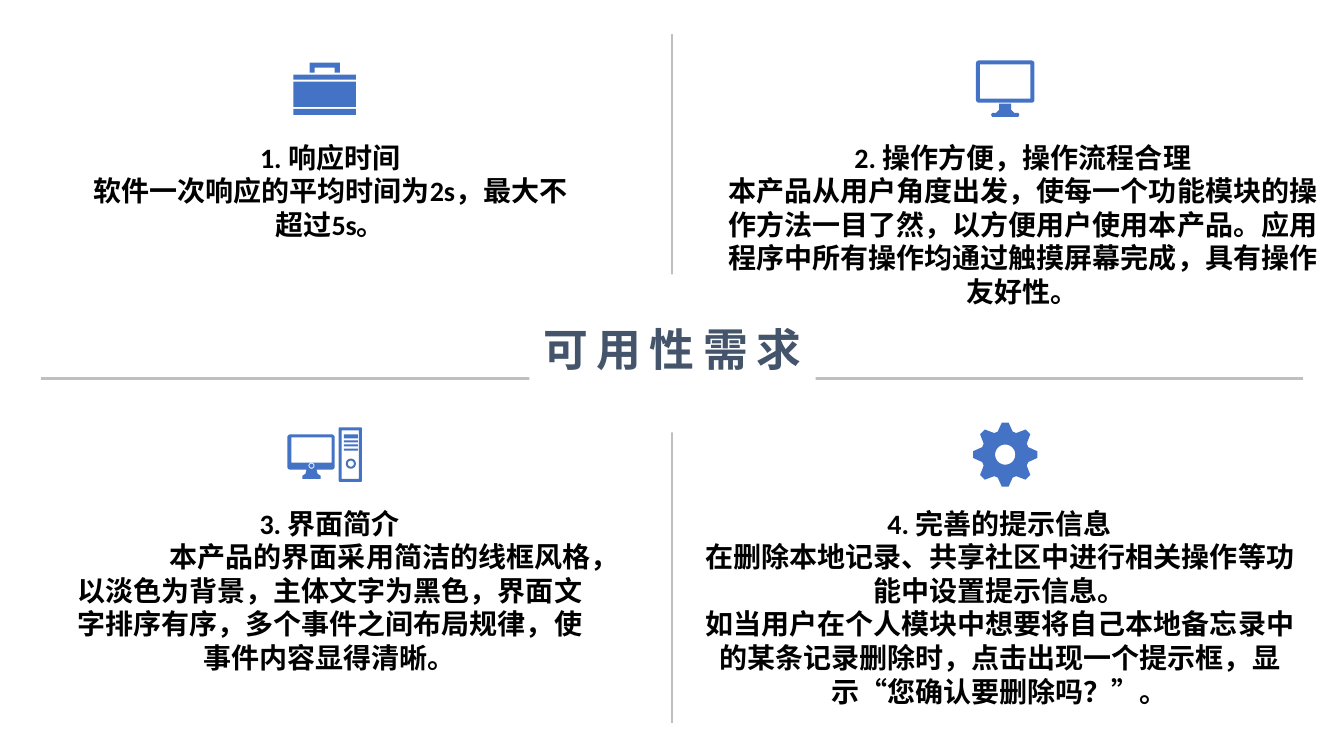
from math import cos, pi, sin

from lxml.etree import SubElement
from pptx import Presentation
from pptx.dml.color import RGBColor
from pptx.enum.text import MSO_ANCHOR as Anchor, MSO_AUTO_SIZE as AutoSize, PP_ALIGN as Align
from pptx.oxml.ns import qn
from pptx.util import Inches, Pt

BLUE, GREY, NAVY, BLACK, WHITE = "4472C4", "BFBFBF", "44546A", "000000", "FFFFFF"


def color(value):
    """Turn a hex string into a colour."""
    return RGBColor.from_string(value)


def place(shape, box):
    """Move a shape to a box of left, top, width and height in inches."""
    shape.left, shape.top, shape.width, shape.height = map(Inches, box)


def write(para, text, size=20, ink=BLACK, line_spacing=1.0, tracking=0):
    """Fill a paragraph with one bold, centred, unbulleted run."""
    para.alignment = Align.CENTER
    para.space_before = para.space_after = Pt(0)
    para.line_spacing = line_spacing
    properties = para._p.get_or_add_pPr()
    for name, value in (("marL", 0), ("indent", 0), ("defTabSz", Inches(1))):
        properties.set(name, str(int(value)))
    SubElement(properties, qn("a:buNone"))
    span = para.add_run()
    span.text = text
    span.font.name = "Calibri"
    span.font.size = Pt(size)
    span.font.bold = True
    span.font.color.rgb = color(ink)
    if tracking:
        span._r.get_or_add_rPr().set("spc", str(tracking * 100))


def arc(x, y, radius, start=0, sweep=360, steps=36):
    """List points along an arc, with angles in degrees."""
    angles = [(start + sweep * step / steps) * pi / 180 for step in range(steps + 1)]
    return [(x + radius * cos(angle), y + radius * sin(angle)) for angle in angles]


def panel(left, top, right, bottom, radius=0):
    """List the corners of a rectangle, rounded by the given radius."""
    if not radius:
        return [(left, top), (right, top), (right, bottom), (left, bottom)]
    centers = [(right - radius, bottom - radius), (left + radius, bottom - radius),
               (left + radius, top + radius), (right - radius, top + radius)]
    return [point for turn, (x, y) in enumerate(centers)
            for point in arc(x, y, radius, turn * 90, 90, 6)]


def mirrored(half, axis=0):
    """Complete an outline whose right half is given, by reflection."""
    return half + [(2 * axis - x, y) for x, y in reversed(half)]


def briefcase():
    """Return the outlines of the briefcase icon."""
    handle = mirrored([(0.15, -0.26), (0.15, -0.16), (0.1, -0.16), (0.1, -0.21)])
    bands = [(-0.14, -0.09), (-0.07, 0.18), (0.2, 0.26)]
    return [handle] + [panel(-0.31, top, 0.31, bottom) for top, bottom in bands]


def monitor():
    """Return the outlines of the monitor icon."""
    stand = [(0.06, 0.15), (0.06, 0.21), (0.09, 0.24), (0.13, 0.24), (0.14, 0.26), (0.13, 0.28)]
    return [panel(-0.29, -0.28, 0.29, 0.14, 0.03), panel(-0.25, -0.24, 0.25, 0.1),
            mirrored(stand)]


def desktop():
    """Return the outlines of the desktop computer icon."""
    stand = [(-0.08, 0.15), (-0.07, 0.19), (-0.04, 0.21), (-0.04, 0.24)]
    slots = [(-0.2, -0.16), (-0.14, -0.12), (-0.1, -0.08), (-0.06, -0.04)]
    rings = [arc(-0.13, 0.11, 0.03), arc(-0.13, 0.11, 0.02),
             arc(0.26, 0.09, 0.05), arc(0.26, 0.09, 0.03)]
    return [panel(-0.37, -0.2, 0.1, 0.15, 0.03), panel(-0.33, -0.17, 0.07, 0.08),
            mirrored(stand, axis=-0.13),
            panel(0.14, -0.27, 0.37, 0.27, 0.01), panel(0.17, -0.24, 0.34, 0.24),
            *rings, *(panel(0.19, top, 0.33, bottom) for top, bottom in slots)]


def gear():
    """Return the outlines of the gear icon with eight teeth."""
    profile = [(-18, 0.24), (-6, 0.32), (6, 0.32), (18, 0.24)]
    rim = [(radius * cos(angle * pi / 180), radius * sin(angle * pi / 180))
           for tooth in range(8)
           for angle, radius in ((tooth * 45 + offset, radius) for offset, radius in profile)]
    return [rim, arc(0, 0, 0.1)]


def draw_icon(page, center, outlines):
    """Draw outlines around a center as one filled freeform."""
    outlines = [[(Inches(center[0] + x), Inches(center[1] + y)) for x, y in outline]
                for outline in outlines]
    builder = page.shapes.build_freeform(*outlines[0][0], scale=1.0)
    for number, outline in enumerate(outlines):
        if number:
            builder.move_to(*outline[0])
        builder.add_line_segments(outline[1:], close=True)
    icon = builder.convert_to_shape()
    icon.shadow.inherit = False
    icon.fill.solid()
    icon.fill.fore_color.rgb = color(BLUE)
    icon.line.fill.background()


def draw_quadrant(page, holder, box, icon_x, outlines, texts):
    """Fill one quadrant with its text and the icon above it."""
    place(holder, box)
    frame = holder.text_frame
    frame.word_wrap = True
    frame.auto_size = AutoSize.SHAPE_TO_FIT_TEXT
    frame.vertical_anchor = Anchor.TOP
    frame.margin_left = frame.margin_right = Inches(0.07)
    frame.margin_top = frame.margin_bottom = Inches(0.03)
    for number, text in enumerate(texts):
        write(frame.add_paragraph() if number else frame.paragraphs[0], text)
    draw_icon(page, (icon_x, box[1] - 0.48), outlines)


def draw_cross(page, box):
    """Draw the two lines that divide a box into quadrants."""
    left, top, width, height = box
    middle_x, middle_y = left + width / 2, top + height / 2
    for ends in ((middle_x, top, middle_x, top + height),
                 (left, middle_y, left + width, middle_y)):
        line = page.shapes.add_connector(1, *map(Inches, ends))
        line.line.color.rgb = color(GREY)
        line.line.width = Pt(1.5)
        SubElement(line._element.spPr, qn("a:effectLst"))


def draw_title(page, box):
    """Set the title on a white plate in front of the cross."""
    title = page.shapes.title
    place(title, box)
    title.fill.solid()
    title.fill.fore_color.rgb = color(WHITE)
    frame = title.text_frame
    frame.word_wrap = False
    frame.auto_size = AutoSize.SHAPE_TO_FIT_TEXT
    frame.vertical_anchor = Anchor.MIDDLE
    write(frame.paragraphs[0], "可用性需求", size=32, ink=NAVY, line_spacing=0.8, tracking=6)
    title._element.getparent().append(title._element)


def main():
    """Build the slide and save it."""
    deck = Presentation()
    deck.slide_width, deck.slide_height = Inches(13.33), Inches(7.5)
    page = deck.slides.add_slide(deck.slide_layouts[4])
    quadrants = [
        ((0.77, 1.36, 5.01, 1.08), 3.22, briefcase(),
         ["1. 响应时间", "软件一次响应的平均时间为2s，最大不超过5s。"]),
        ((7.04, 1.36, 6.21, 1.75), 9.97, monitor(),
         ["2. 操作方便，操作流程合理",
          "本产品从用户角度出发，使每一个功能模块的操作方法一目了然，以方便用户使用本产品。"
          "应用程序中所有操作均通过触摸屏幕完成，具有操作友好性。"]),
        ((0.57, 4.99, 5.4, 1.75), 3.22, desktop(),
         ["3. 界面简介",
          "\t本产品的界面采用简洁的线框风格，以淡色为背景，主体文字为黑色，"
          "界面文字排序有序，多个事件之间布局规律，使事件内容显得清晰。"]),
        ((6.9, 4.99, 6.03, 2.09), 9.97, gear(),
         ["4. 完善的提示信息",
          "在删除本地记录、共享社区中进行相关操作等功能中设置提示信息。",
          "如当用户在个人模块中想要将自己本地备忘录中的某条记录删除时，"
          "点击出现一个提示框，显示“您确认要删除吗？”。"]),
    ]
    draw_cross(page, (0.41, 0.34, 12.51, 6.83))
    holders = [holder for holder in page.placeholders if holder.placeholder_format.idx]
    for holder, quadrant in zip(holders, quadrants):
        draw_quadrant(page, holder, *quadrant)
    draw_title(page, (5.25, 3.24, 2.84, 0.53))
    deck.save("out.pptx")


if __name__ == "__main__":
    main()
